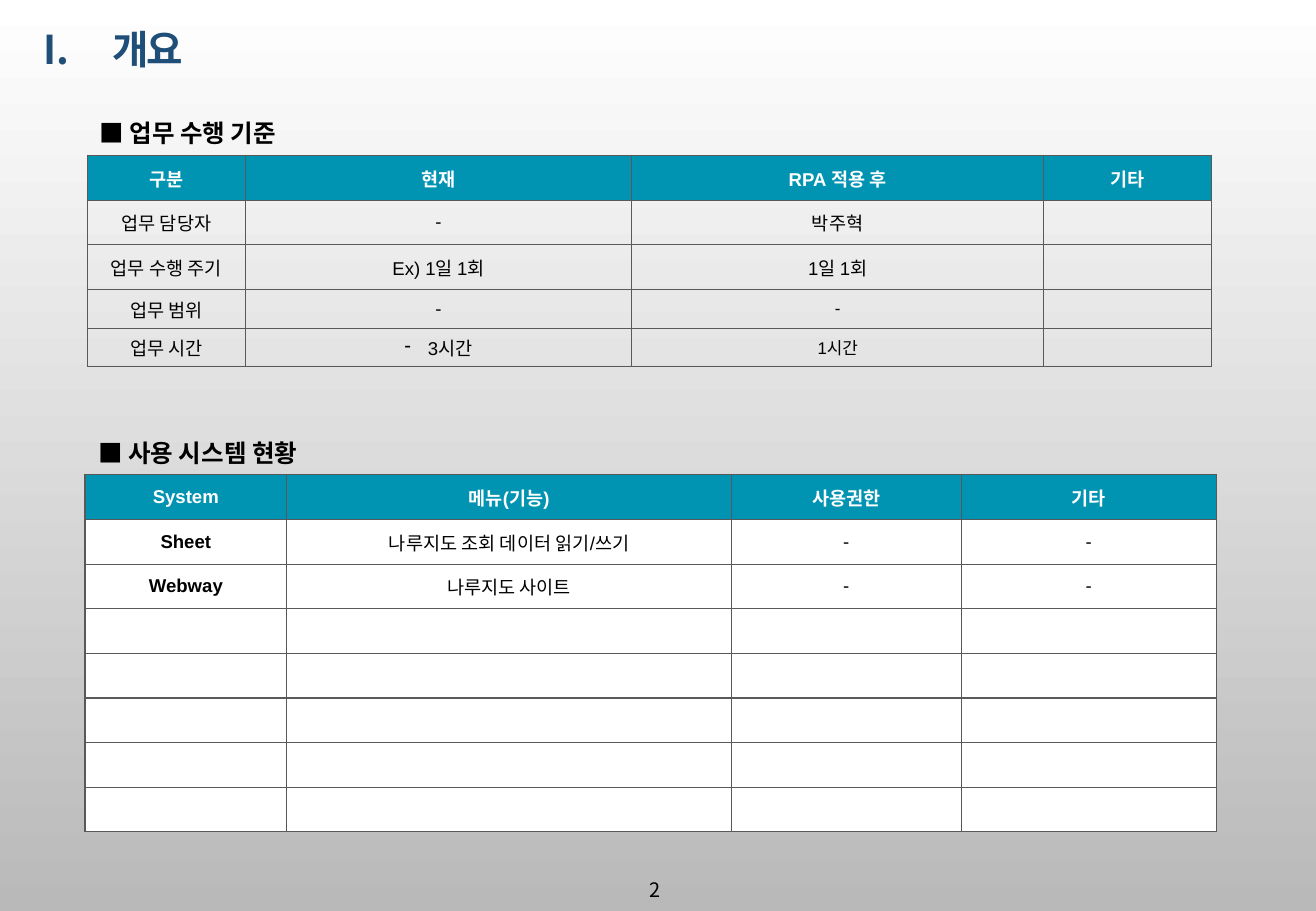
from lxml import etree
from pptx import Presentation
from pptx.dml.color import RGBColor
from pptx.enum.text import MSO_ANCHOR, PP_ALIGN
from pptx.oxml.ns import qn
from pptx.util import Inches, Pt

CENTER, LEFT = PP_ALIGN.CENTER, PP_ALIGN.LEFT
MIDDLE, TOP = MSO_ANCHOR.MIDDLE, MSO_ANCHOR.TOP
COLORS = {"title": "1F4E79", "head": "0093B2", "line": "595959", "ink": "000000",
          "paper": "FFFFFF", "shade": "B9B9B9"}
NUMBERED = ("buAutoNum", {"type": "romanUcPeriod"})
DASHED = ("buChar", {"char": "-"})


def rgb(name):
    """Return a named colour."""
    return RGBColor.from_string(COLORS[name])


def write(tf, text, size=11, color="ink", bold=False, font="Arial", align=LEFT,
          spacing=0, bullet=None, indent=0, line=None):
    """Write one formatted paragraph into a text frame."""
    p = tf.paragraphs[0]
    p.alignment = align
    if line:
        p.line_spacing = line
    if bullet:
        tag, attrs = bullet
        pPr = p._p.get_or_add_pPr()
        pPr.set("marL", str(Inches(indent)))
        pPr.set("indent", str(-Inches(indent)))
        etree.SubElement(pPr, qn("a:" + tag), attrs)
    if not text:
        etree.SubElement(p._p, qn("a:endParaRPr"), {"sz": str(size * 100)})
        return
    r = p.add_run()
    r.text = text
    r.font.size, r.font.bold, r.font.name = Pt(size), bold, font
    r.font.color.rgb = rgb(color)
    if spacing:
        r._r.get_or_add_rPr().set("spc", str(int(spacing * 100)))


class Deck:
    """Hold the style and the current slide; lengths are percent of its size."""

    def __init__(self, width, height):
        """Open a deck with one blank slide."""
        self.prs = Presentation()
        self.prs.slide_width, self.prs.slide_height = Inches(width), Inches(height)
        self.s = self.prs.slides.add_slide(self.prs.slide_layouts[6])

    def x(self, share):
        """Turn a share of the width into a length."""
        return int(self.prs.slide_width * share / 100)

    def y(self, share):
        """Turn a share of the height into a length."""
        return int(self.prs.slide_height * share / 100)

    def background(self, start, end):
        """Fill the slide with a gradient from top to bottom."""
        fill = self.s.background.fill
        fill.gradient()
        fill.gradient_angle = 270
        for stop, name in zip(fill.gradient_stops, (start, end)):
            stop.color.rgb = rgb(name)

    def text(self, left, top, width, height, text, wrap=True, anchor=TOP, **fmt):
        """Add a text box."""
        sp = self.s.shapes.add_textbox(self.x(left), self.y(top), self.x(width), self.y(height))
        tf = sp.text_frame
        tf.word_wrap, tf.vertical_anchor = wrap, anchor
        write(tf, text, **fmt)

    def border(self, cell):
        """Draw a thin line on each side of a cell."""
        tcPr = cell._tc.get_or_add_tcPr()
        for side in "LRTB":
            ln = etree.SubElement(tcPr, qn("a:ln" + side), {"w": str(Pt(0.75))})
            fill = etree.SubElement(ln, qn("a:solidFill"))
            etree.SubElement(fill, qn("a:srgbClr"), {"val": COLORS["line"]})

    def table(self, left, top, cols, heights, rows, body=None, formats=None):
        """Add a table with a coloured head row and optional formats by cell."""
        formats = formats or {}
        frame = self.s.shapes.add_table(len(heights), len(cols), self.x(left), self.y(top),
                                        self.x(sum(cols)), self.y(sum(heights)))
        tbl = frame.table
        tbl.first_row = tbl.horz_banding = False
        for col, share in zip(tbl.columns, cols):
            col.width = self.x(share)
        for i, share in enumerate(heights):
            tbl.rows[i].height = self.y(share)
            values = rows[i] if i < len(rows) else [""] * len(cols)
            for j, value in enumerate(values):
                cell = tbl.cell(i, j)
                self.border(cell)
                fill = body if i else "head"
                if fill:
                    cell.fill.solid()
                    cell.fill.fore_color.rgb = rgb(fill)
                else:
                    cell.fill.background()
                cell.vertical_anchor = MIDDLE
                base = {} if i else {"color": "paper", "bold": True}
                write(cell.text_frame, value, align=CENTER, **base, **formats.get((i, j), {}))


def main():
    """Build the overview slide."""
    deck = Deck(10.83, 7.5)
    deck.background("paper", "shade")
    deck.text(48.48, 95.73, 3.23, 4, "2", wrap=False, size=11.8,
              font="Noto Sans CJK KR", spacing=-1.5)
    deck.text(2.4, 2.27, 95.48, 6.8, "개요", anchor=MIDDLE, size=23.5, color="title",
              bold=True, spacing=-1.5, bullet=NUMBERED, indent=0.57, line=0.9)

    systems = [["System", "메뉴(기능)", "사용권한", "기타"],
               ["Sheet", "나루지도 조회 데이터 읽기/쓰기", "-", "-"],
               ["Webway", "나루지도 사이트", "-", "-"]]
    deck.table(6.46, 52.13, [15.33, 33.8, 17.45, 19.39], [4.9] * 8, systems, body="paper",
               formats={(i, 0): {"bold": True} for i in (1, 2)})

    criteria = [["구분", "현재", "RPA 적용 후", "기타"],
                ["업무 담당자", "-", "박주혁", ""],
                ["업무 수행 주기", "Ex) 1일 1회", "1일 1회", ""],
                ["업무 범위", "-", "-", ""],
                ["업무 시간", "3시간", "1시간", ""]]
    deck.table(6.65, 17.07, [12, 29.36, 31.3, 12.74], [4.9] * 3 + [4.25] * 2, criteria,
               formats={(3, 2): {"size": 10}, (4, 2): {"size": 10},
                        (4, 1): {"bullet": DASHED, "indent": 0.19}})

    for left, top, heading in [(6.65, 12.27, "■ 업무 수행 기준"),
                               (6.56, 47.47, "■ 사용 시스템 현황")]:
        deck.text(left, top, 32.5, 4.67, heading, size=14.5, bold=True)
    deck.prs.save("out.pptx")


if __name__ == "__main__":
    main()
